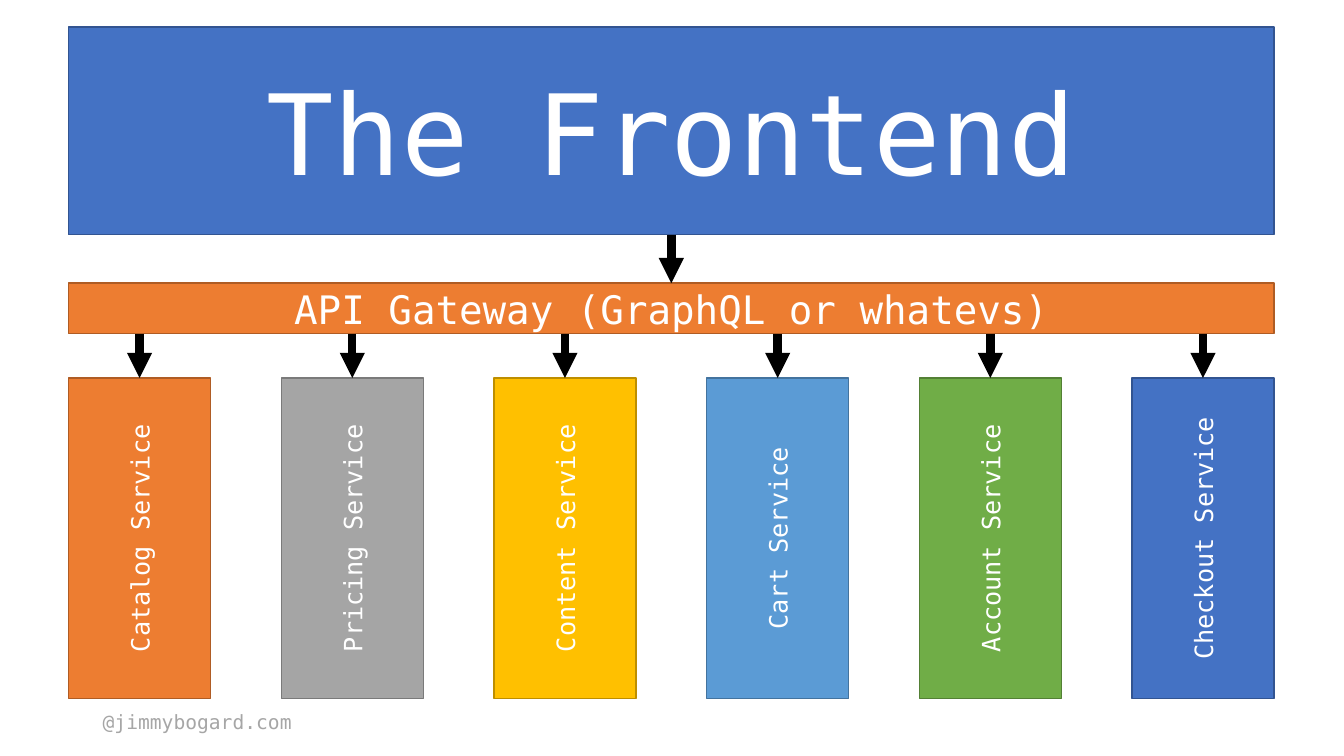
from lxml import etree
from pptx import Presentation
from pptx import util as u
from pptx.dml.color import RGBColor
from pptx.enum import shapes, text
from pptx.oxml.ns import qn

PX = 9144  # EMU per px, 100 px to the inch
FONT = "DejaVu Sans Mono"

WHITE = RGBColor(0xFF, 0xFF, 0xFF)
BLACK = RGBColor(0x00, 0x00, 0x00)
LIGHT_GRAY = RGBColor(0xA6, 0xA6, 0xA6)
# Fill and outline pairs
BLUE = RGBColor(0x44, 0x72, 0xC4), RGBColor(0x32, 0x54, 0x91)
ORANGE = RGBColor(0xED, 0x7D, 0x31), RGBColor(0xAF, 0x5C, 0x24)
GRAY = RGBColor(0xA5, 0xA5, 0xA5), RGBColor(0x7A, 0x7A, 0x7A)
GOLD = RGBColor(0xFF, 0xC0, 0x00), RGBColor(0xBD, 0x8E, 0x00)
SKY = RGBColor(0x5B, 0x9B, 0xD5), RGBColor(0x43, 0x73, 0x9E)
GREEN = RGBColor(0x70, 0xAD, 0x47), RGBColor(0x53, 0x80, 0x35)

SERVICES = [
    ("Catalog", ORANGE),
    ("Pricing", GRAY),
    ("Content", GOLD),
    ("Cart", SKY),
    ("Account", GREEN),
    ("Checkout", BLUE),
]
LEFT, WIDTH = 68, 1196
SERVICE_TOP, SERVICE_WIDTH, SERVICE_HEIGHT = 375, 141, 318


def px(*lengths):
    return [u.Emu(n * PX) for n in lengths]


def write(sp, words, size, color, align):
    tf = sp.text_frame
    tf.text = words
    tf.word_wrap = True
    p = tf.paragraphs[0]
    p.alignment = align
    font = p.runs[0].font
    font.name, font.size = FONT, u.Pt(size)
    font.color.rgb = color


def add_box(slide, box, words, size, colors, vertical=False):
    sp = slide.shapes.add_shape(shapes.MSO_SHAPE.RECTANGLE, *px(*box))
    sp.shadow.inherit = False
    sp.fill.solid()
    sp.fill.fore_color.rgb, sp.line.color.rgb = colors
    sp.line.width = u.Pt(1)
    write(sp, words, size, WHITE, text.PP_ALIGN.CENTER)
    sp.text_frame.vertical_anchor = text.MSO_ANCHOR.MIDDLE
    if vertical:
        sp.text_frame._txBody.bodyPr.set("vert", "vert270")
    return sp


def add_arrow(slide, source, target):
    """Draw an arrow straight down from source to the top middle of target."""
    x = target.left + target.width // 2
    arrow = slide.shapes.add_connector(
        shapes.MSO_CONNECTOR.STRAIGHT, x, source.top + source.height, x, target.top)
    if x == source.left + source.width // 2:
        arrow.begin_connect(source, 2)
    arrow.end_connect(target, 0)
    arrow.line.color.rgb = BLACK
    arrow.line.width = u.Pt(6)
    etree.SubElement(arrow.line._get_or_add_ln(), qn("a:tailEnd"), type="triangle")
    etree.SubElement(arrow._element.spPr, qn("a:effectLst"))


def main():
    prs = Presentation()
    prs.slide_width, prs.slide_height = u.Emu(12192000), u.Inches(7.5)
    slide = prs.slides.add_slide(prs.slide_layouts[6])

    # Footer
    footer = slide.shapes.add_textbox(*px(92, 699, 368, 34))
    write(footer, "@jimmybogard.com", 14, LIGHT_GRAY, text.PP_ALIGN.LEFT)

    # Frontend and gateway
    frontend = add_box(slide, (LEFT, 27, WIDTH, 206), "The Frontend", 80, BLUE)
    gateway = add_box(slide, (LEFT, 281, WIDTH, 50),
                      "API Gateway (GraphQL or whatevs)", 28, ORANGE)
    add_arrow(slide, frontend, gateway)

    # Services, spread evenly under the gateway
    step = (WIDTH - SERVICE_WIDTH) // (len(SERVICES) - 1)
    for i, (name, colors) in enumerate(SERVICES):
        box = (LEFT + i * step, SERVICE_TOP, SERVICE_WIDTH, SERVICE_HEIGHT)
        service = add_box(slide, box, f"{name} Service", 18, colors, vertical=True)
        add_arrow(slide, gateway, service)

    prs.save("out.pptx")


if __name__ == "__main__":
    main()
